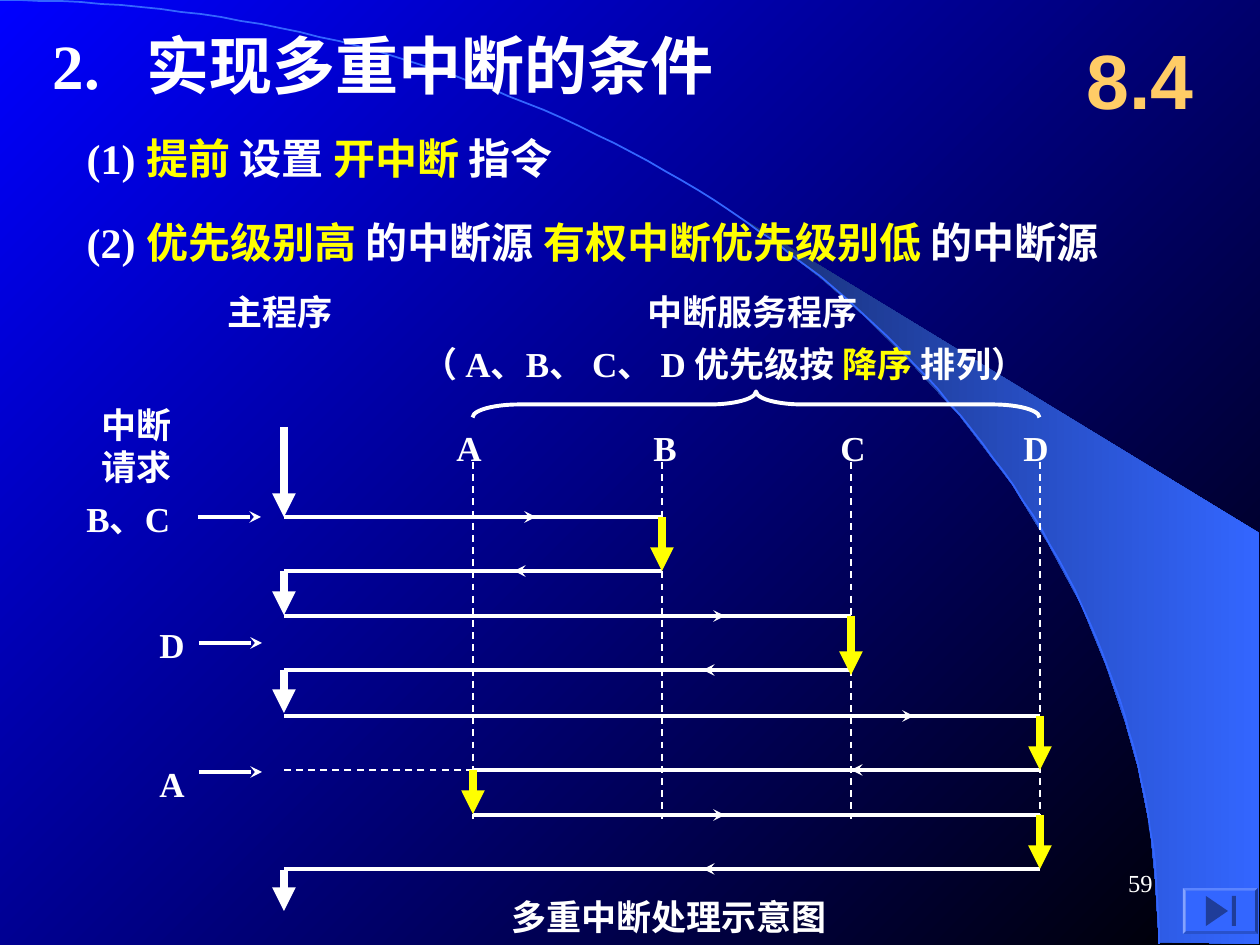
"""Build the slide on the conditions for nested interrupts."""
import math
import pptx
import pptx.util
import pptx.dml.color
import pptx.enum.dml
import pptx.enum.shapes
import pptx.enum.text
import pptx.oxml
import pptx.oxml.ns

PX = 914400 // 126
Pt = pptx.util.Pt
SHAPE = pptx.enum.shapes.MSO_SHAPE
ALIGN = pptx.enum.text.PP_ALIGN
ANCHOR = pptx.enum.text.MSO_ANCHOR
COLORS = {name: pptx.dml.color.RGBColor.from_string(value) for name, value in {
    "white": "FFFFFF", "yellow": "FFFF00", "gold": "FFCC66", "blue": "0000FF",
    "black": "000000", "azure": "3366FF", "navy": "182F76", "icon": "1F3D99"}.items()}

prs = pptx.Presentation()
prs.slide_width, prs.slide_height = 1260 * PX, 945 * PX
s = prs.slides.add_slide(prs.slide_layouts[1])


def add_line(x1, y1, x2, y2, width, color="white", head=None, dashed=False):
    c = s.shapes.add_connector(pptx.enum.shapes.MSO_CONNECTOR.STRAIGHT,
                               x1 * PX, y1 * PX, x2 * PX, y2 * PX)
    c.line.width = Pt(width)
    c.line.color.rgb = COLORS[color]
    if dashed:
        c.line.dash_style = pptx.enum.dml.MSO_LINE.DASH
    if head:
        ln = c.line._get_or_add_ln()
        ln.append(ln.makeelement(pptx.oxml.ns.qn("a:tailEnd"), {"type": head}))
    spPr = c._element.spPr
    spPr.append(spPr.makeelement(pptx.oxml.ns.qn("a:effectLst"), {}))


def add_runs(p, runs, size, font="Times New Roman", bold=True):
    for text, color in runs:
        r = p.add_run()
        r.text = text
        r.font.size = Pt(size)
        r.font.name = font
        r.font.bold = bold
        r.font.color.rgb = COLORS[color]


fill = s.background.fill
fill.gradient()
fill.gradient_angle = 315
for stop, color in zip(fill.gradient_stops, ("blue", "black")):
    stop.color.rgb = COLORS[color]

swoosh = [(1159, 942), (1259, 944), (1259, 533), (742, 218), (786, 251), (823, 280),
          (863, 315), (902, 353), (960, 416), (1012, 484), (1048, 543), (1081, 604),
          (1106, 665), (1125, 721), (1138, 767), (1150, 827), (1155, 877)]
fb = s.shapes.build_freeform(*swoosh[0], scale=PX)
fb.add_line_segments(swoosh[1:], close=True)
sp = fb.convert_to_shape()
sp.shadow.inherit = False
sp.line.fill.background()
sp.fill.gradient()
sp.fill.gradient_angle = 0
for stop, color in zip(sp.fill.gradient_stops, ("navy", "azure")):
    stop.color.rgb = COLORS[color]

angles = [math.radians(a) for a in range(91)]
arc = [(round(1159 * math.sin(a)), round(944 * (1 - math.cos(a)))) for a in angles]
fb = s.shapes.build_freeform(*arc[0], scale=PX)
fb.add_line_segments(arc[1:], close=False)
sp = fb.convert_to_shape()
sp.shadow.inherit = False
sp.fill.background()
sp.line.color.rgb = COLORS["azure"]
sp.line.width = Pt(1)

title, body = s.shapes.title, s.placeholders[1]
for placeholder in (title, body):
    s.shapes._spTree.append(placeholder._element)

title.left, title.top, title.width, title.height = 53 * PX, 35 * PX, 743 * PX, 59 * PX
tf = title.text_frame
tf.auto_size = pptx.enum.text.MSO_AUTO_SIZE.NONE
tf.word_wrap = False
tf.vertical_anchor = ANCHOR.MIDDLE
tf.margin_left = tf.margin_right = tf.margin_top = tf.margin_bottom = 0
p = tf.paragraphs[0]
p.alignment = ALIGN.LEFT
p._p.get_or_add_pPr().append(pptx.oxml.parse_xml(
    f'<a:tabLst {pptx.oxml.ns.nsdecls("a")}><a:tab pos="{94 * PX}" algn="l"/></a:tabLst>'))
add_runs(p, [("2.\t实现多重中断的条件", "white")], 36)

body.left, body.top, body.width, body.height = 74 * PX, 115 * PX, 1123 * PX, 158 * PX
tf = body.text_frame
tf.auto_size = pptx.enum.text.MSO_AUTO_SIZE.NONE
conditions = [
    [("(1) ", "white"), ("提前 ", "yellow"), ("设置 ", "white"), ("开中断 ", "yellow"),
     ("指令", "white")],
    [("(2) ", "white"), ("优先级别高 ", "yellow"), ("的中断源 ", "white"),
     ("有权中断优先级别低 ", "yellow"), ("的中断源", "white")]]
for i, runs in enumerate(conditions):
    p = tf.add_paragraph() if i else tf.paragraphs[0]
    pPr = p._p.get_or_add_pPr()
    pPr.set("marL", "0")
    pPr.set("indent", "0")
    pPr.append(pPr.makeelement(pptx.oxml.ns.qn("a:buNone"), {}))
    p.line_spacing = Pt(35)
    p.space_before = Pt(13 * i)
    add_runs(p, runs, 24)

MAIN, A, B, C, D = [284 + 189 * i for i in range(5)]
for x in (A, B, C, D):
    add_line(x, 462, x, 819, 1, dashed=True)
add_line(A, 770, MAIN, 770, 1, dashed=True)

transfers = [(517, MAIN, B, 473), (571, B, MAIN, 577), (616, MAIN, C, 662),
             (670, C, MAIN, 766), (716, MAIN, D, 851), (770, D, A, 914),
             (815, A, D, 662), (869, D, MAIN, 766)]
for y, start, end, mark in transfers:
    add_line(start, y, end, y, 2.25)
    add_line(mark, y, mark + (63 if end > start else -63), y, 2.25, head="stealth")

executions = [(MAIN, 427, 517, "white"), (MAIN, 571, 615, "white"),
              (MAIN, 670, 713, "white"), (MAIN, 870, 911, "white"),
              (B, 517, 571, "yellow"), (C, 616, 675, "yellow"), (D, 716, 770, "yellow"),
              (A, 770, 814, "yellow"), (D, 815, 869, "yellow")]
for x, top, bottom, color in executions:
    add_line(x, top, x, bottom, 4.5, color, "triangle")

for x, y in ((198, 517), (199, 643), (199, 772)):
    add_line(x, y, x + 63, y, 2.25, head="stealth")

sp = s.shapes.add_shape(SHAPE.LEFT_BRACE, 743 * PX, 121 * PX, 26 * PX, 567 * PX)
sp.rotation = 90
sp.adjustments[0] = 1.8
sp.shadow.inherit = False
sp.fill.background()
sp.line.color.rgb = COLORS["white"]
sp.line.width = Pt(2.25)

labels = [
    (74, 491, 126, 55, [[("B、C", "white")]]),
    (147, 617, 50, 55, [[("D", "white")]]),
    (147, 756, 50, 55, [[("A", "white")]]),
    (89, 397, 95, 97, [[("中断", "white")], [("请求", "white")]]),
    (215, 284, 130, 55, [[("主程序", "white")]]),
    (635, 284, 236, 55, [[("中断服务程序", "white")]]),
    (410, 336, 698, 55, [[("（ A、B、 C、 D 优先级按 ", "white"), ("降序 ", "yellow"),
                          ("排列）", "white")]]),
    (444, 420, 50, 55, [[("A", "white")]]),
    (641, 420, 48, 55, [[("B", "white")]]),
    (828, 420, 50, 55, [[("C", "white")]]),
    (1011, 420, 50, 55, [[("D", "white")]]),
    (499, 889, 535, 55, [[("多重中断处理示意图", "white")]])]
for x, y, w, h, lines in labels:
    tf = s.shapes.add_textbox(x * PX, y * PX, w * PX, h * PX).text_frame
    tf.word_wrap = False
    for i, runs in enumerate(lines):
        p = tf.add_paragraph() if i else tf.paragraphs[0]
        add_runs(p, runs, 20)

corner_texts = [(1061, 21, 158, 116, "8.4", "gold", 44, "Arial", True, ALIGN.CENTER),
                (903, 851, 262, 63, "59", "white", 14, "Times New Roman", False, ALIGN.RIGHT)]
for x, y, w, h, text, color, size, font, bold, align in corner_texts:
    tf = s.shapes.add_textbox(x * PX, y * PX, w * PX, h * PX).text_frame
    tf.word_wrap = True
    tf.vertical_anchor = ANCHOR.MIDDLE
    p = tf.paragraphs[0]
    p.alignment = align
    add_runs(p, [(text, color)], size, font, bold)

button_parts = [(SHAPE.BEVEL, 1183, 888, 75, 46, 0, "azure"),
                (SHAPE.ISOSCELES_TRIANGLE, 1202, 900, 30, 22, 90, "icon"),
                (SHAPE.RECTANGLE, 1232, 896, 4, 30, 0, "icon")]
for kind, x, y, w, h, turn, color in button_parts:
    sp = s.shapes.add_shape(kind, x * PX, y * PX, w * PX, h * PX)
    sp.rotation = turn
    sp.shadow.inherit = False
    sp.fill.solid()
    sp.fill.fore_color.rgb = COLORS[color]
    sp.line.fill.background()
    if kind == SHAPE.BEVEL:
        sp.adjustments[0] = 0.06

prs.save("out.pptx")
